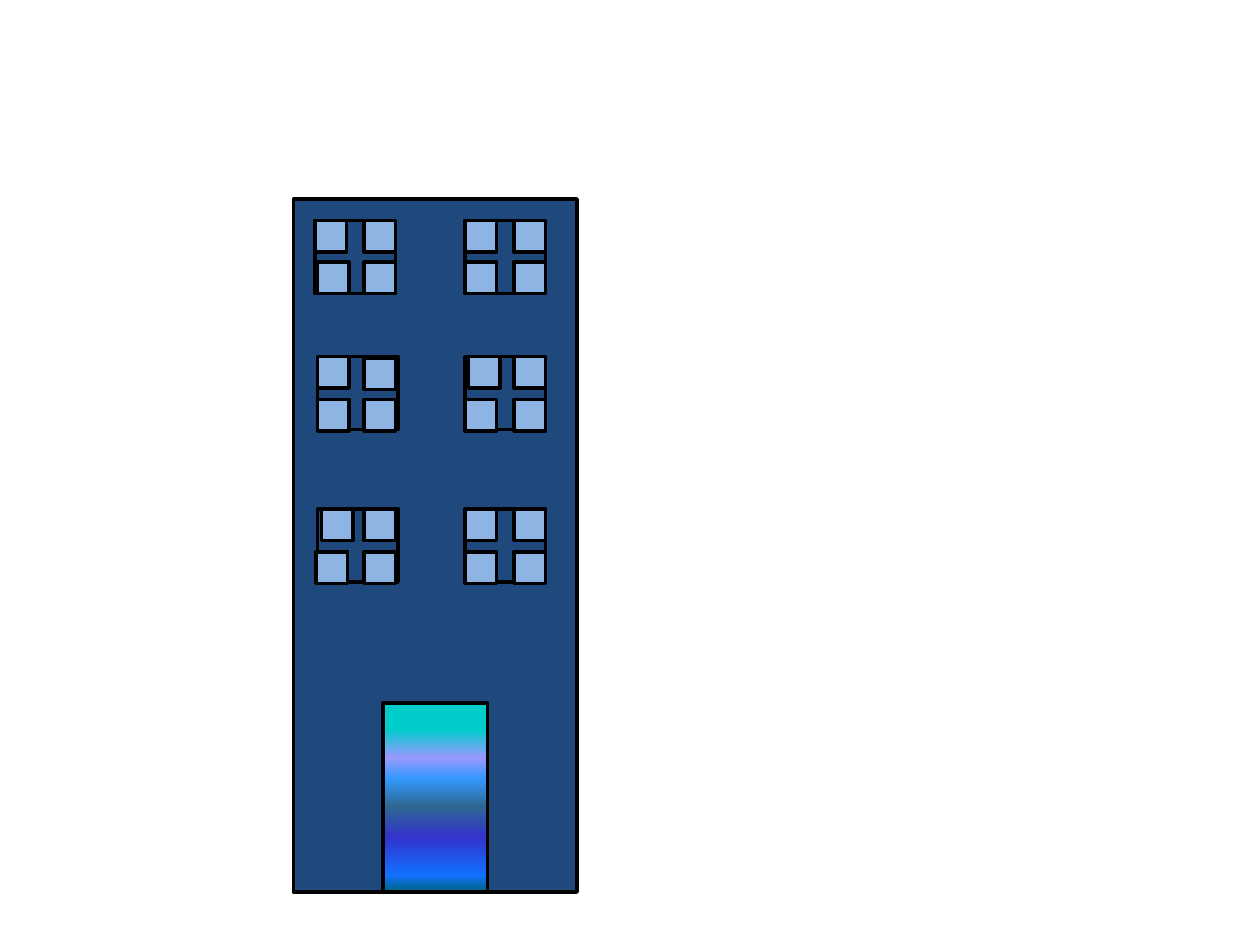
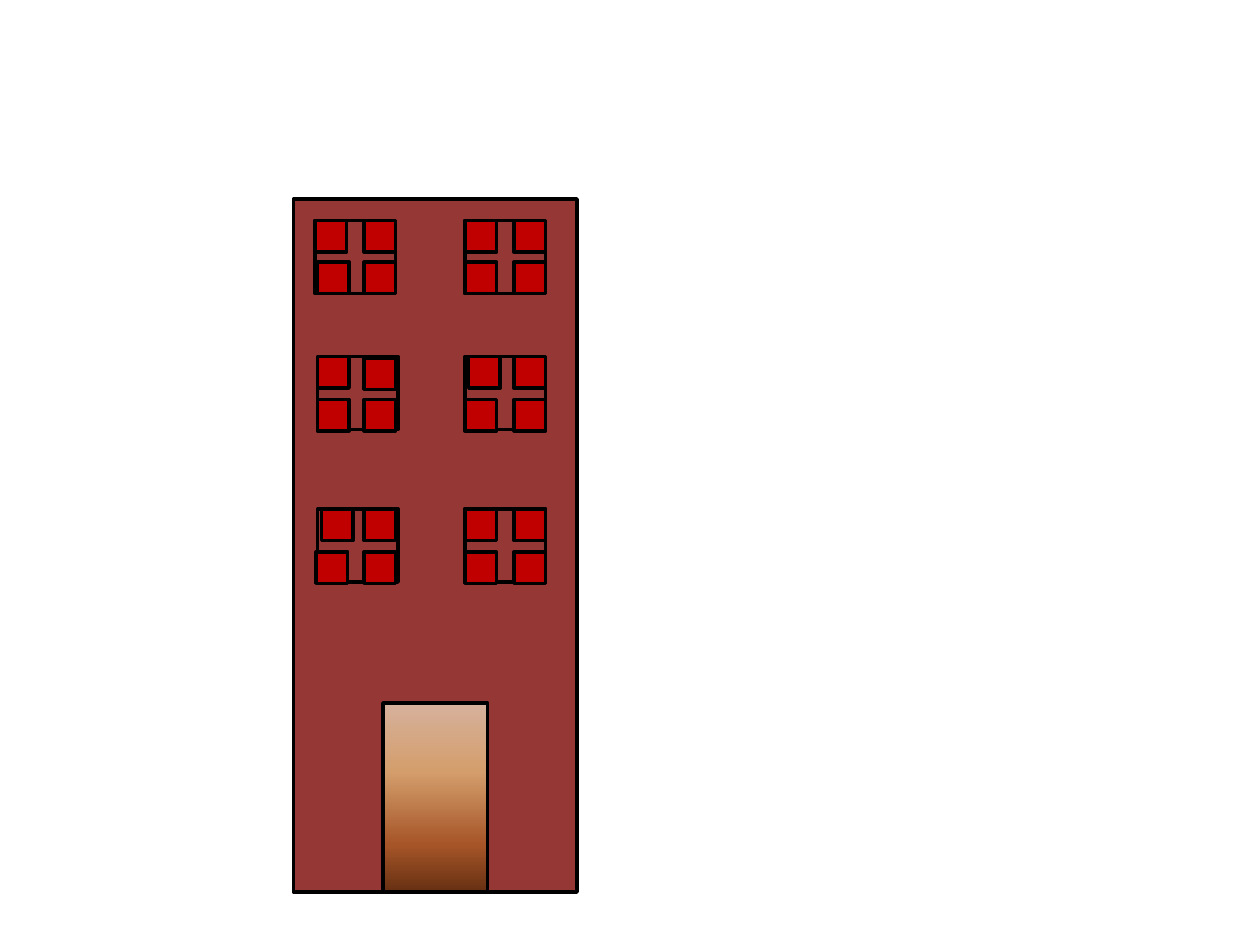
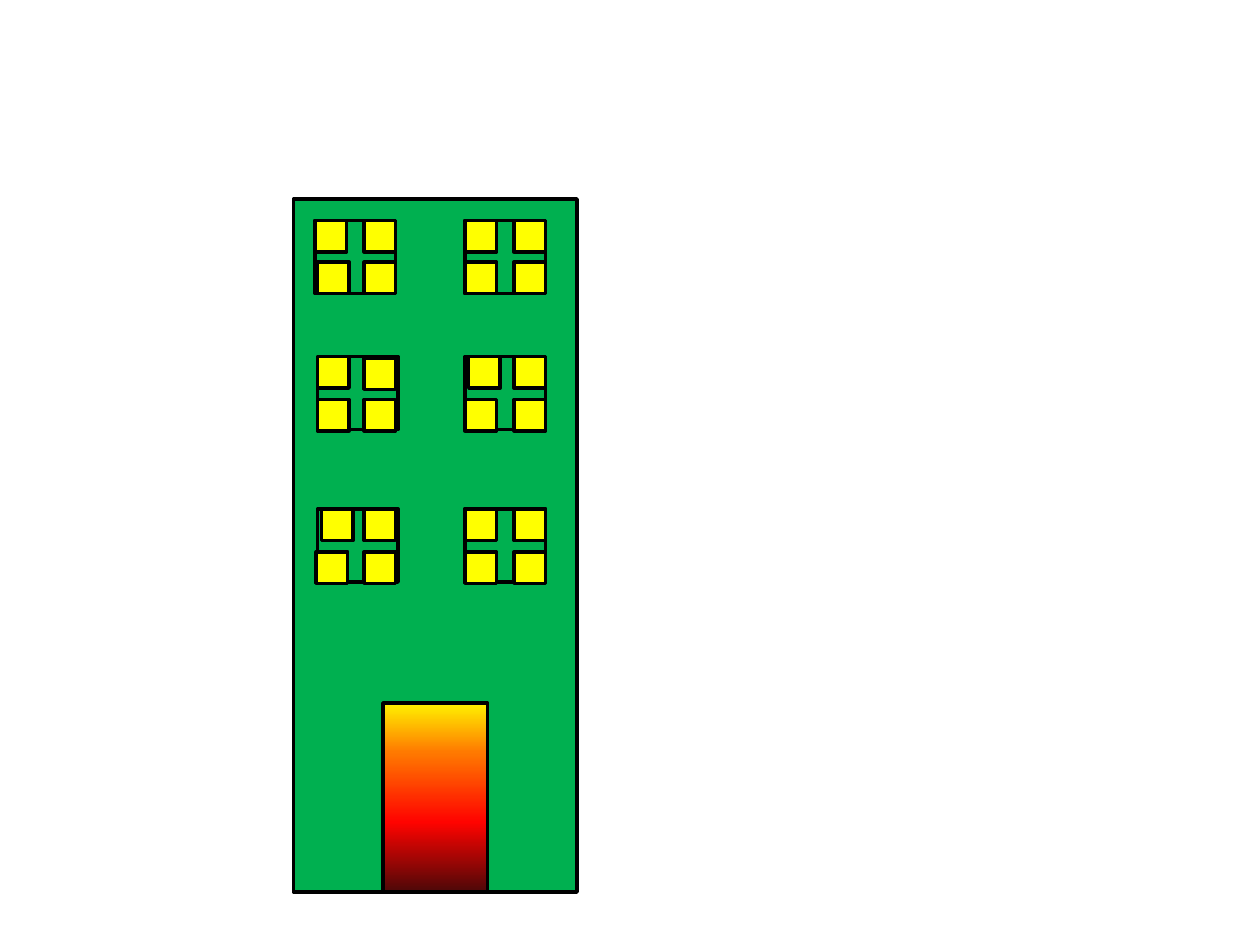
from dataclasses import dataclass

from lxml import etree
from pptx import Presentation
from pptx import util as u
from pptx.dml import color
from pptx.enum import shapes
from pptx.oxml import ns

PX = 9144


@dataclass(frozen=True)
class Box:
    left: int
    top: int
    width: int
    height: int


@dataclass(frozen=True)
class Window:
    left: int
    top: int
    right: int
    drop: int
    high: int = 0
    low: int = 0
    dip: int = 0


@dataclass(frozen=True)
class Paint:
    wall: str
    glass: str
    door: tuple[tuple[int, str], ...]


@dataclass(frozen=True)
class Theme:
    line: str
    weight: int
    paints: tuple[Paint, ...]


THEME = Theme(
    line="000000",
    weight=2,
    paints=(
        Paint("1F497D", "8EB4E3", (
            (14, "00CCCC"), (29, "9999FF"), (40, "3399FF"), (55, "2E6792"),
            (71, "3333CC"), (91, "1170FF"), (98, "006699"))),
        Paint("953735", "C00000", (
            (0, "D6B19C"), (36, "D49E6C"), (75, "A65528"), (100, "663012"))),
        Paint("00B050", "FFFF00", (
            (0, "FFF200"), (26, "FF7A00"), (63, "FF0300"), (100, "4D0808"))),
    ),
)

PAGE = Box(0, 0, 1000, 750)
WALL = Box(233, 158, 225, 550)
DOOR = Box(304, 558, 83, 150)
FRAME = (64, 58)
PANE = 25
WINDOWS = (
    Window(250, 175, right=39, drop=33, low=2),
    Window(369, 175, right=39, drop=33),
    Window(252, 283, right=37, drop=34, dip=1),
    Window(369, 283, right=39, drop=34, high=3),
    Window(252, 404, right=37, drop=34, high=3, low=-1),
    Window(369, 404, right=39, drop=34),
)


def emu(px: int) -> u.Emu:
    return u.Emu(px * PX)


def rect(slide, box: Box, fill: str | None = None):
    shape = slide.shapes.add_shape(
        shapes.MSO_SHAPE.RECTANGLE,
        emu(box.left), emu(box.top), emu(box.width), emu(box.height))
    shape.shadow.inherit = False
    shape.line.color.rgb = color.RGBColor.from_string(THEME.line)
    shape.line.width = u.Pt(THEME.weight)
    if fill is None:
        shape.fill.background()
    else:
        shape.fill.solid()
        shape.fill.fore_color.rgb = color.RGBColor.from_string(fill)
    return shape


def shade(shape, stops: tuple[tuple[int, str], ...]) -> None:
    shape.fill.gradient()
    shape.fill.gradient_angle = 270
    ramp = shape.element.spPr.find(ns.qn("a:gradFill")).find(ns.qn("a:gsLst"))
    for stop in list(ramp):
        ramp.remove(stop)
    for place, tone in stops:
        stop = etree.SubElement(ramp, ns.qn("a:gs"), pos=str(place * 1000))
        etree.SubElement(stop, ns.qn("a:srgbClr"), val=tone)


def glaze(slide, win: Window, glass: str) -> None:
    spots = (
        (win.high, 0), (win.low, win.drop),
        (win.right, win.dip), (win.right, win.drop))
    for left, top in spots:
        rect(slide, Box(win.left + left, win.top + top, PANE, PANE), glass)


def build(slide, paint: Paint) -> None:
    rect(slide, WALL, paint.wall)
    shade(rect(slide, DOOR), paint.door)
    first, *rest = WINDOWS
    glaze(slide, first, paint.glass)
    for win in WINDOWS:
        rect(slide, Box(win.left, win.top, *FRAME))
    for win in rest:
        glaze(slide, win, paint.glass)


def main() -> None:
    deck = Presentation()
    deck.slide_width = emu(PAGE.width)
    deck.slide_height = emu(PAGE.height)
    for paint in THEME.paints:
        build(deck.slides.add_slide(deck.slide_layouts[6]), paint)
    deck.save("out.pptx")


if __name__ == "__main__":
    main()
